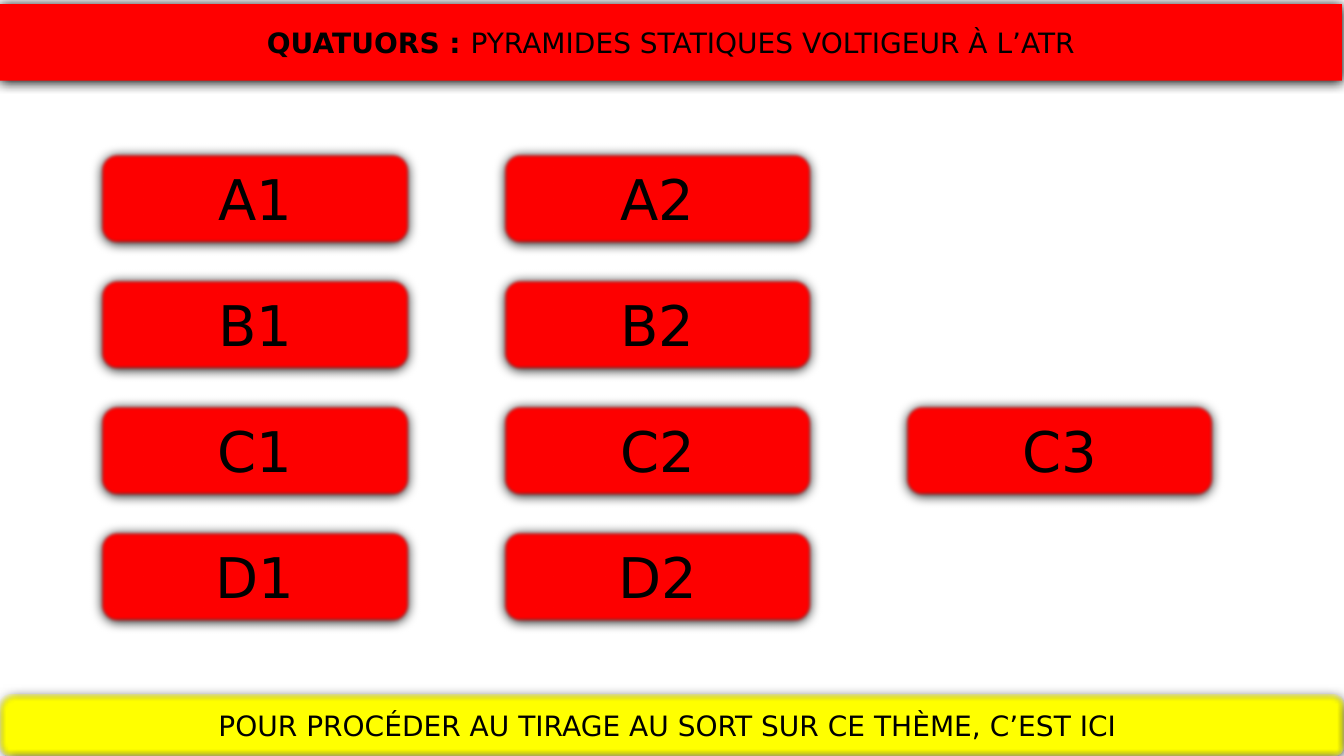
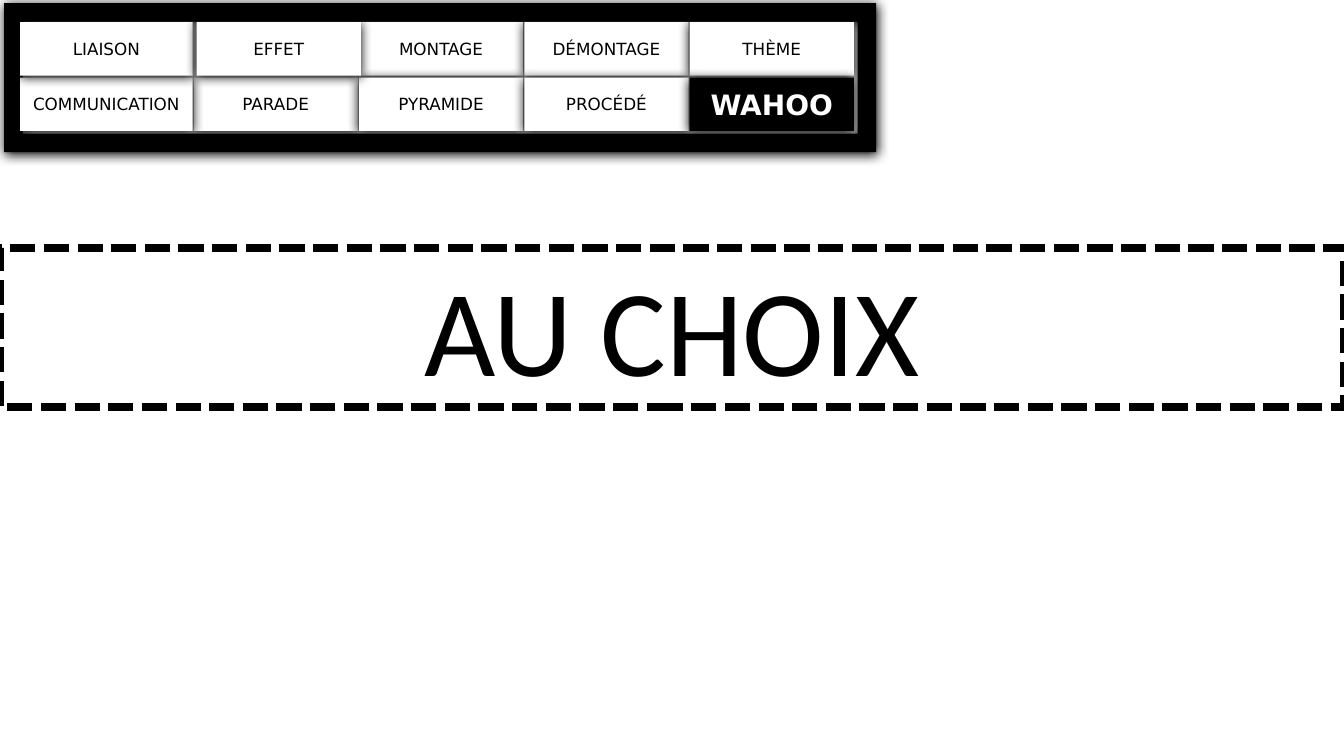
"""Build the quartet draw page and the free-choice theme page."""
from dataclasses import dataclass

from lxml import etree
from pptx import Presentation
from pptx.dml.color import RGBColor
from pptx.enum.dml import MSO_LINE
from pptx.enum.shapes import MSO_SHAPE
from pptx.enum.text import MSO_ANCHOR, MSO_AUTO_SIZE, PP_ALIGN
from pptx.oxml.ns import qn
from pptx.util import Inches, Pt

RED = RGBColor(0xFF, 0x00, 0x00)
YELLOW = RGBColor(0xFF, 0xFF, 0x00)
BLACK = RGBColor(0x00, 0x00, 0x00)
WHITE = RGBColor(0xFF, 0xFF, 0xFF)

ROUNDED = MSO_SHAPE.ROUNDED_RECTANGLE
RECTANGLE = MSO_SHAPE.RECTANGLE
FRAME = MSO_SHAPE.FRAME
CENTER = PP_ALIGN.CENTER
MIDDLE = MSO_ANCHOR.MIDDLE
TOP = MSO_ANCHOR.TOP
GROW = MSO_AUTO_SIZE.SHAPE_TO_FIT_TEXT
SQUARE_DOT = MSO_LINE.SQUARE_DOT

SLIDE_WIDTH, SLIDE_HEIGHT = 13.33, 7.5
TITLE_ONLY = 5
LABEL_FONT = "DejaVu Sans"
TITLE_FONT = "Calibri"
SOFT_EDGE = 2.5

BUTTON_LEFT, BUTTON_TOP = 0.99, 1.51
BUTTON_COLUMN, BUTTON_ROW = 3.99, 1.25
BUTTON_WIDTH, BUTTON_HEIGHT = 3.08, 0.92
BUTTON_ROWS = (("A", 2), ("B", 2), ("C", 3), ("D", 2))

TILE_LEFT, TILE_TOP = 0.28, 0.22
TILE_COLUMN, TILE_ROW = 1.64, 0.55
TILE_WIDTH, TILE_HEIGHT = 1.63, 0.53
FIRST_COLUMN_EXTRA = 0.08


@dataclass(frozen=True)
class Box:
    """Position and size in inches."""
    left: float
    top: float
    width: float
    height: float


@dataclass(frozen=True)
class Span:
    """Text of one format."""
    text: str
    size: float
    bold: bool = False
    color: RGBColor = BLACK
    font: str = LABEL_FONT


@dataclass(frozen=True)
class Tile:
    """One theme in the navigation banner."""
    label: str
    column: int
    row: int
    nudge: float = 0
    active: bool = False


TILES = (
    Tile("MONTAGE", 2, 0),
    Tile("DÉMONTAGE", 3, 0),
    Tile("THÈME", 4, 0),
    Tile("PARADE", 1, 1),
    Tile("PYRAMIDE", 2, 1),
    Tile("PROCÉDÉ", 3, 1),
    Tile("COMMUNICATION", 0, 1),
    Tile("WAHOO", 4, 1, active=True),
    Tile("LIAISON", 0, 0),
    Tile("EFFET", 1, 0, nudge=0.03),
)


def write_spans(shape, spans: tuple[Span, ...], anchor=MIDDLE) -> None:
    """Write one centred paragraph, run by run."""
    frame = shape.text_frame
    frame.word_wrap = True
    frame.vertical_anchor = anchor
    para = frame.paragraphs[0]
    para.alignment = CENTER
    for span in spans:
        run = para.add_run()
        run.text = span.text
        run.font.name = span.font
        run.font.size = Pt(span.size)
        run.font.bold = span.bold
        run.font.color.rgb = span.color


def paint(shape, fill: RGBColor, soft_edge: float = 0) -> None:
    """Give a shape a solid fill, no line and the common shadow."""
    shape.fill.solid()
    shape.fill.fore_color.rgb = fill
    shape.line.fill.background()
    shape.shadow.inherit = False
    effects = shape.element.spPr.find(qn("a:effectLst"))
    shadow = etree.SubElement(
        effects, qn("a:outerShdw"), blurRad=str(Pt(8.5)), dist=str(Pt(1)),
        dir="5400000", algn="ctr", rotWithShape="0")
    etree.SubElement(shadow, qn("a:srgbClr"), val=str(BLACK))
    if soft_edge:
        etree.SubElement(effects, qn("a:softEdge"), rad=str(Pt(soft_edge)))


def add_panel(shapes, kind, box: Box, fill: RGBColor,
              spans: tuple[Span, ...] = (), soft_edge: float = 0) -> None:
    """Draw a shadowed shape with an optional label."""
    shape = shapes.add_shape(kind, Inches(box.left), Inches(box.top),
                             Inches(box.width), Inches(box.height))
    paint(shape, fill, soft_edge)
    if spans:
        write_spans(shape, spans)


def place_title(page, box: Box, outline: str):
    """Move the title placeholder and give it a preset outline."""
    title = page.shapes.title
    title.left, title.top = Inches(box.left), Inches(box.top)
    title.width, title.height = Inches(box.width), Inches(box.height)
    geometry = etree.Element(qn("a:prstGeom"), prst=outline)
    etree.SubElement(geometry, qn("a:avLst"))
    title.element.spPr.find(qn("a:xfrm")).addnext(geometry)
    return title


def build_draw_page(deck) -> None:
    """Build the page with the draw buttons."""
    page = deck.slides.add_slide(deck.slide_layouts[TITLE_ONLY])
    title = place_title(page, Box(0, 0.04, 13.31, 0.76), "roundRect")
    paint(title, RED)
    write_spans(title, (
        Span("QUATUORS : ", 20, bold=True),
        Span("PYRAMIDES STATIQUES VOLTIGEUR À L’ATR", 20),
    ))
    for row, (letter, count) in enumerate(BUTTON_ROWS):
        for column in range(count):
            box = Box(BUTTON_LEFT + column * BUTTON_COLUMN,
                      BUTTON_TOP + row * BUTTON_ROW,
                      BUTTON_WIDTH, BUTTON_HEIGHT)
            add_panel(page.shapes, ROUNDED, box, RED,
                      (Span(f"{letter}{column + 1}", 40),), SOFT_EDGE)
    footer = Span("POUR PROCÉDER AU TIRAGE AU SORT SUR CE THÈME, C’EST ICI ", 20)
    add_panel(page.shapes, ROUNDED, Box(0, 6.89, SLIDE_WIDTH, 0.61), YELLOW,
              (footer,), SOFT_EDGE)


def add_tile(shapes, tile: Tile) -> None:
    """Draw one theme on the banner grid."""
    extra = 0 if tile.column else FIRST_COLUMN_EXTRA
    box = Box(TILE_LEFT + tile.column * TILE_COLUMN - extra + tile.nudge,
              TILE_TOP + tile.row * TILE_ROW,
              TILE_WIDTH + extra, TILE_HEIGHT)
    if tile.active:
        fill, span = BLACK, Span(tile.label, 20, bold=True, color=WHITE)
    else:
        fill, span = WHITE, Span(tile.label, 12)
    add_panel(shapes, RECTANGLE, box, fill, (span,))


def build_choice_page(deck) -> None:
    """Build the page with the theme banner and the free choice."""
    page = deck.slides.add_slide(deck.slide_layouts[TITLE_ONLY])
    title = place_title(page, Box(0, 2.46, SLIDE_WIDTH, 1.58), "rect")
    title.line.color.rgb = BLACK
    title.line.width = Pt(6)
    title.line.dash_style = SQUARE_DOT
    write_spans(title, (Span("AU CHOIX", 88, font=TITLE_FONT),), TOP)
    title.text_frame.auto_size = GROW
    banner = page.shapes.add_group_shape().shapes
    add_panel(banner, FRAME, Box(0.04, 0.03, 8.65, 1.48), BLACK)
    for tile in TILES:
        add_tile(banner, tile)


def main() -> None:
    """Build and save the deck."""
    deck = Presentation()
    deck.slide_width = Inches(SLIDE_WIDTH)
    deck.slide_height = Inches(SLIDE_HEIGHT)
    build_draw_page(deck)
    build_choice_page(deck)
    deck.save("out.pptx")


if __name__ == "__main__":
    main()
